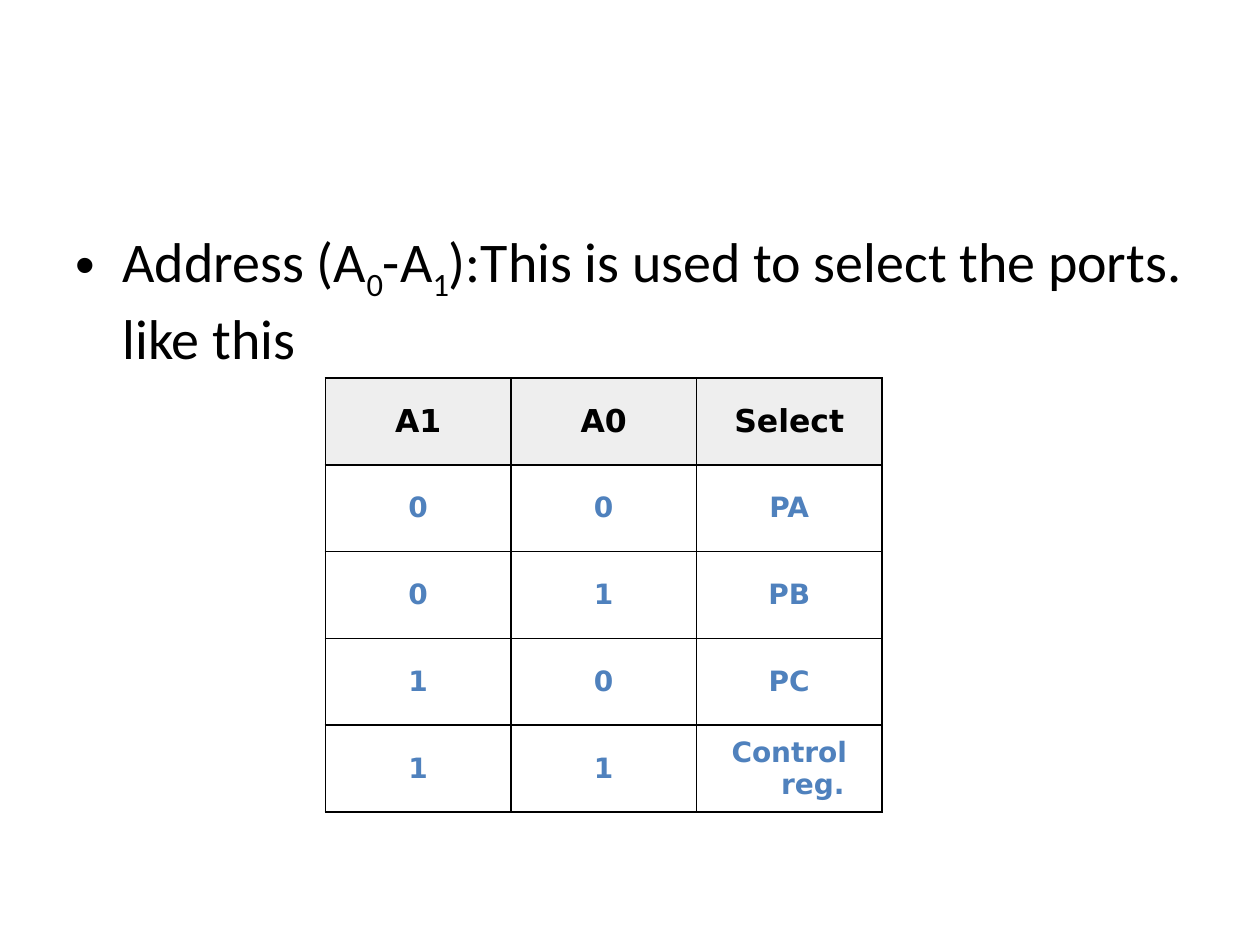
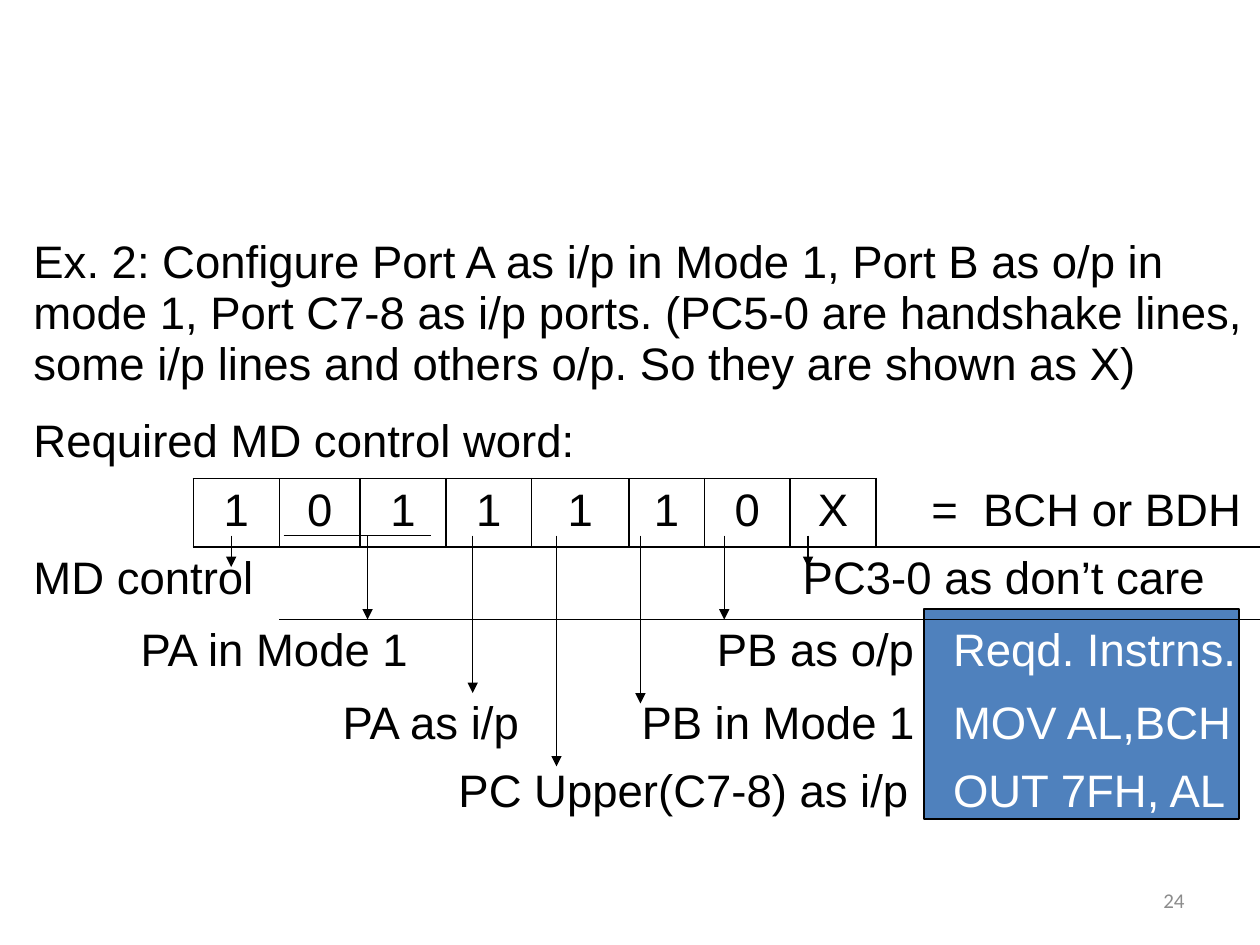
from dataclasses import dataclass

from lxml import etree
from pptx import Presentation
from pptx.dml.color import RGBColor
from pptx.enum.shapes import MSO_CONNECTOR, MSO_SHAPE
from pptx.enum.text import MSO_ANCHOR, PP_ALIGN
from pptx.oxml.ns import qn
from pptx.util import Cm, Pt

LEFT, CENTER, RIGHT = PP_ALIGN.LEFT, PP_ALIGN.CENTER, PP_ALIGN.RIGHT
TOP, MIDDLE = MSO_ANCHOR.TOP, MSO_ANCHOR.MIDDLE
RECTANGLE, STRAIGHT = MSO_SHAPE.RECTANGLE, MSO_CONNECTOR.STRAIGHT
BLANK_LAYOUT = 6
NO_STYLE = "{2D5ABB26-0587-4C30-8999-92F81FD0307C}"
SIDES = "LRTB"


@dataclass(frozen=True)
class Theme:
    """Colours, fonts and type sizes of the deck."""
    black: str = "000000"
    white: str = "FFFFFF"
    blue: str = "4F81BD"
    header: str = "EEEEEE"
    grey: str = "8C8C8C"
    body_font: str = "Calibri"
    table_font: str = "DejaVu Sans"
    word_font: str = "Arial"
    body: int = 32
    word: int = 26
    head: int = 18
    cell: int = 16
    number: int = 12
    border: float = 1
    line: float = 0.75


THEME = Theme()
HANGING = 0.95  # cm

# Slide 1: (text, baseline in thousandths of a percent)
ADDRESS = [("Address (A", 0), ("0", -25000), ("-A", 0), ("1", -25000),
           ("):This is used to select the ports. like this", 0)]
PORTS = [("A1", "A0", "Select"),
         ("0", "0", "PA"),
         ("0", "1", "PB"),
         ("1", "0", "PC"),
         ("1", "1", "Control reg.")]

# Slide 2
COLUMN_WIDTHS = [2.16, 1.32, 1.73, 0.51, 1.02, 1.73, 1.73,
                 1.96, 1.52, 1.73, 1.73, 1.3, 0.51, 6]
ROW_HEIGHTS = [3.61, 1.38, 1.38, 1.46, 1.46, 1.38, 1.38]
BIT_ROW = 2
BITS = [("1", 2, 1), ("0", 3, 2), ("1", 5, 1), ("1", 6, 1),
        ("1", 7, 1), ("1", 8, 1), ("0", 9, 1), ("X", 10, 1)]
# (row, column, columns spanned, text, alignment, colour)
LABELS = [
    (0, 0, 14, "Ex. 2: Configure Port A as i/p in Mode 1, Port B as o/p in "
               "mode 1, Port C7-8 as i/p ports. (PC5-0 are handshake lines, "
               "some i/p lines and others o/p. So they are shown as X)",
     LEFT, THEME.black),
    (1, 0, 8, "Required MD control word:", LEFT, THEME.black),
    (2, 11, 2, "=", RIGHT, THEME.black),
    (2, 13, 1, "BCH or BDH", LEFT, THEME.black),
    (3, 0, 3, "MD control", LEFT, THEME.black),
    (3, 3, 2, "", LEFT, THEME.black),
    (3, 10, 4, "PC3-0 as don’t care", LEFT, THEME.black),
    (4, 1, 5, "PA in Mode 1", LEFT, THEME.black),
    (5, 2, 5, "PA as i/p", RIGHT, THEME.black),
    (5, 8, 4, "PB in Mode 1", LEFT, THEME.black),
    (5, 12, 2, "MOV AL,BCH", LEFT, THEME.white),
    (6, 6, 6, "PC Upper(C7-8) as i/p", LEFT, THEME.black),
    (6, 12, 2, "OUT 7FH, AL", LEFT, THEME.white),
]
OUTPUT_LABEL = (4, 9, 5, "PB as o/p", "Reqd. Instrns.")
INSTRUCTION_TAB = 4.76
UNDERLINED = (3, 5, 6, 7, 8, 9, 10)  # columns ruled above in the label row
ARROW_TOP = 10.8
MODE_UNDERLINE = (5.72, 8.69)
MODE_ARROWS = [(4.66, 11.43), (7.41, 12.49)]
# Tips of the evenly spaced arrows under the remaining bits
FIRST_PORT_ARROW, PORT_ARROW_STEP = 9.53, 1.69
PORT_ARROW_TIPS = [13.97, 15.45, 14.18, 12.49, 11.43]


def apply(target, values):
    """Set each attribute named in a dict."""
    for name, value in values.items():
        setattr(target, name, value)


def add_run(paragraph, text, size, font, color, bold=False, baseline=0):
    """Append one formatted run."""
    run = paragraph.add_run()
    run.text = text
    apply(run.font, {"size": Pt(size), "name": font, "bold": bold})
    run.font.color.rgb = RGBColor.from_string(color)
    if baseline:
        run._r.get_or_add_rPr().set("baseline", str(baseline))


def hang(paragraph):
    """Give a paragraph the hanging indent and return its properties."""
    properties = paragraph._p.get_or_add_pPr()
    properties.set("marL", str(Cm(HANGING)))
    properties.set("indent", str(-Cm(HANGING)))
    return properties


def add_text_box(slide, left, top, width, height, anchor=TOP):
    """Add a wrapping text box and return its first paragraph."""
    box = slide.shapes.add_textbox(Cm(left), Cm(top), Cm(width), Cm(height))
    apply(box.text_frame, {"word_wrap": True, "vertical_anchor": anchor})
    return box.text_frame.paragraphs[0]


def add_plain_table(slide, left, top, widths, heights):
    """Add a table without style, banding or fill."""
    frame = slide.shapes.add_table(len(heights), len(widths), Cm(left), Cm(top),
                                   Cm(sum(widths)), Cm(sum(heights)))
    table = frame.table
    apply(table, {"first_row": False, "horz_banding": False})
    for style in table._tbl.iter(qn("a:tableStyleId")):
        style.text = NO_STYLE
    for column, width in zip(table.columns, widths):
        column.width = Cm(width)
    for row, height in zip(table.rows, heights):
        row.height = Cm(height)
    for cell in table.iter_cells():
        cell.fill.background()
    return table


def set_borders(cell, sides=SIDES):
    """Draw black borders on the given sides, ahead of the cell's fill."""
    properties = cell._tc.get_or_add_tcPr()
    for index, side in enumerate(sides):
        line = etree.Element(qn("a:ln" + side), w=str(Pt(THEME.border)))
        fill = etree.SubElement(line, qn("a:solidFill"))
        etree.SubElement(fill, qn("a:srgbClr"), val=THEME.black)
        properties.insert(index, line)


def add_line(slide, start, end, arrow=True):
    """Draw a thin black line, with an arrowhead at its end if asked."""
    connector = slide.shapes.add_connector(
        STRAIGHT, *(Cm(value) for value in (*start, *end)))
    connector.line.width = Pt(THEME.line)
    connector.line.color.rgb = RGBColor.from_string(THEME.black)
    if arrow:
        etree.SubElement(connector.line._get_or_add_ln(), qn("a:tailEnd"),
                         type="triangle")
    etree.SubElement(connector._element.spPr, qn("a:effectLst"))


def write_word_cell(table, row, column, span, text, alignment, color):
    """Merge a cell over its span, write its text, return the paragraph."""
    cell = table.cell(row, column)
    if span > 1:
        cell.merge(table.cell(row, column + span - 1))
    paragraph = cell.text_frame.paragraphs[0]
    apply(paragraph, {"alignment": alignment,
                      "space_before": Pt(THEME.word * 0.2)})
    if text:
        add_run(paragraph, text, THEME.word, THEME.word_font, color)
    return paragraph


def build_address_slide(slide):
    """Address lines and the port they select."""
    paragraph = add_text_box(slide, 1.27, 4.45, 22.86, 12.57)
    paragraph.space_before = Pt(THEME.body * 0.2)
    properties = hang(paragraph)
    etree.SubElement(properties, qn("a:buFont"), typeface="Arial")
    etree.SubElement(properties, qn("a:buChar"), char="•")
    for text, baseline in ADDRESS:
        add_run(paragraph, text, THEME.body, THEME.body_font, THEME.black,
                baseline=baseline)

    table = add_plain_table(slide, 6.56, 7.62, [3.74] * 3, [1.75] * len(PORTS))
    for row, texts in enumerate(PORTS):
        size, color = ((THEME.cell, THEME.blue) if row
                       else (THEME.head, THEME.black))
        for column, text in enumerate(texts):
            cell = table.cell(row, column)
            cell.vertical_anchor = MIDDLE
            if row == 0:
                cell.fill.solid()
                cell.fill.fore_color.rgb = RGBColor.from_string(THEME.header)
            set_borders(cell)
            paragraph = cell.text_frame.paragraphs[0]
            paragraph.alignment = CENTER
            hang(paragraph)
            add_run(paragraph, text, size, THEME.table_font, color, bold=True)


def build_control_word_slide(slide):
    """Control word bits, their meaning and the instructions."""
    panel = slide.shapes.add_shape(RECTANGLE, Cm(18.63), Cm(12.28),
                                   Cm(6.35), Cm(4.23))
    panel.shadow.inherit = False
    panel.fill.solid()
    panel.fill.fore_color.rgb = RGBColor.from_string(THEME.blue)
    panel.line.color.rgb = RGBColor.from_string(THEME.black)
    panel.line.width = Pt(THEME.line)

    table = add_plain_table(slide, 0.42, 4.66, COLUMN_WIDTHS, ROW_HEIGHTS)
    for label in LABELS:
        write_word_cell(table, *label)
    for bit, column, span in BITS:
        write_word_cell(table, BIT_ROW, column, span, bit, CENTER, THEME.black)
        set_borders(table.cell(BIT_ROW, column))
    for column in UNDERLINED:
        set_borders(table.cell(BIT_ROW + 1, column), "T")

    *place, output, heading = OUTPUT_LABEL
    paragraph = write_word_cell(table, *place, output + "\t", LEFT, THEME.black)
    add_run(paragraph, heading, THEME.word, THEME.word_font, THEME.white)
    tabs = etree.SubElement(paragraph._p.get_or_add_pPr(), qn("a:tabLst"))
    etree.SubElement(tabs, qn("a:tab"), pos=str(Cm(INSTRUCTION_TAB)), algn="l")

    port_arrows = [(FIRST_PORT_ARROW + index * PORT_ARROW_STEP, tip)
                   for index, tip in enumerate(PORT_ARROW_TIPS)]
    for x, tip in MODE_ARROWS + port_arrows:
        add_line(slide, (x, ARROW_TOP), (x, tip))
    start, end = MODE_UNDERLINE
    add_line(slide, (start, ARROW_TOP), (end, ARROW_TOP), arrow=False)

    paragraph = add_text_box(slide, 18.2, 17.65, 5.93, 1.01, MIDDLE)
    paragraph.alignment = RIGHT
    add_run(paragraph, "24", THEME.number, THEME.body_font, THEME.grey)


def main():
    """Build and save the presentation."""
    presentation = Presentation()
    apply(presentation, {"slide_width": Cm(25.4), "slide_height": Cm(19.05)})
    layout = presentation.slide_layouts[BLANK_LAYOUT]
    for build in (build_address_slide, build_control_word_slide):
        build(presentation.slides.add_slide(layout))
    presentation.save("out.pptx")


main()
